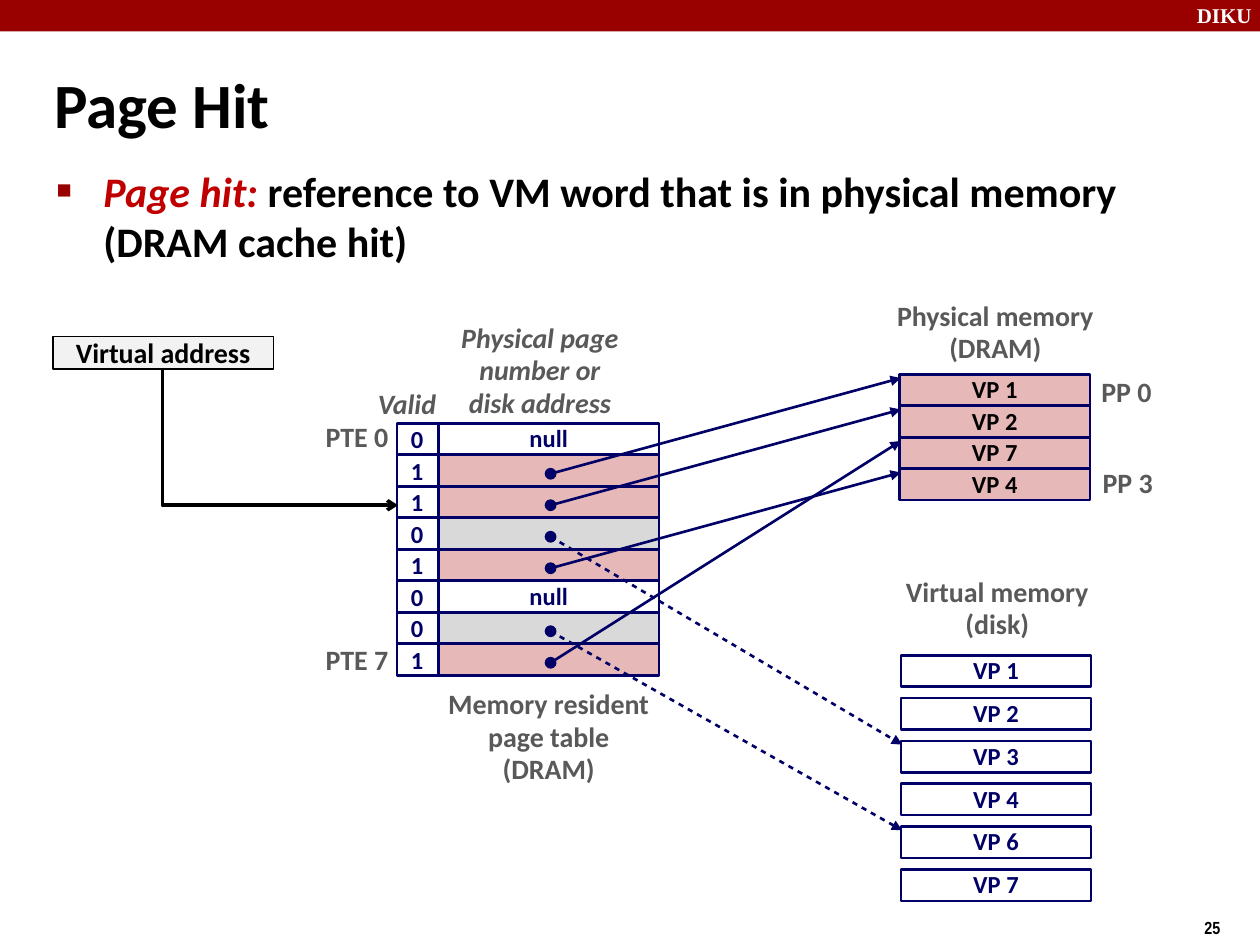
from dataclasses import dataclass
from typing import Optional

from lxml.etree import SubElement
from pptx import Presentation
from pptx.dml.color import RGBColor
from pptx.enum.shapes import MSO_CONNECTOR, MSO_SHAPE
from pptx.enum.text import MSO_ANCHOR, MSO_AUTO_SIZE, PP_ALIGN
from pptx.oxml.ns import qn
from pptx.util import Inches, Pt

NAVY, BLACK, WHITE, GREY = "000066", "000000", "FFFFFF", "595959"
CRIMSON, RED = "990000", "C00000"
CACHED, ON_DISK, PALE = "E6B9B8", "D9D9D9", "F2F2F2"
TIGHT = 0.98


@dataclass(frozen=True)
class Style:
    size: float
    color: str
    italic: bool = False
    font: str = "Calibri"


@dataclass(frozen=True)
class Grid:
    """A column of equal rows; pitch is the step from one row to the next."""
    left: float
    top: float
    width: float
    pitch: float
    height: float = 0.25

    def row(self, index: int) -> tuple:
        return self.left, self.top + index * self.pitch, self.width, self.height

    def arrow_target(self, index: int) -> tuple:
        return self.left + 0.01, self.top + index * self.pitch + 0.03


@dataclass(frozen=True)
class Entry:
    """A page table entry, pointing to a slot of physical memory or of the disk."""
    valid: str
    frame: Optional[int] = None
    disk: Optional[int] = None


@dataclass(frozen=True)
class Label:
    lines: tuple
    area: tuple
    style: Style
    align: PP_ALIGN = PP_ALIGN.CENTER
    anchor: MSO_ANCHOR = MSO_ANCHOR.TOP
    spacing: float = TIGHT
    wrap: bool = False


HEADING, HEADING_ITALIC = Style(16, GREY), Style(16, GREY, True)
CELL, FRAME_CELL = Style(14, NAVY), Style(14, BLACK)

VALID = Grid(3.15, 3.36, 0.33, 0.25)
DIGITS = Grid(3.16, 3.33, 0.3, 0.25, 0.33)
ADDRESS = Grid(3.48, 3.36, 1.75, 0.25)
DOTS = Grid(4.33, 3.47, 0.08, 0.25, 0.08)
FRAMES = Grid(7.14, 2.97, 1.51, 0.25)
DISK = Grid(7.15, 5.2, 1.51, 0.34)

FRAME_PAGES = ("VP 1", "VP 2", "VP 7", "VP 4")
DISK_PAGES = ("VP 1", "VP 2", "VP 3", "VP 4", "VP 6", "VP 7")
ENTRIES = (Entry("0"), Entry("1", frame=0), Entry("1", frame=1), Entry("0", disk=2),
           Entry("1", frame=3), Entry("0"), Entry("0", disk=4), Entry("1", frame=2))
LOOKED_UP = 2

MIDDLE = MSO_ANCHOR.MIDDLE
LABELS = (
    Label(("DIKU",), (9.4, -0.03, 0.67, 0.3), Style(12, WHITE, font="Times New Roman"),
          PP_ALIGN.LEFT, spacing=1, wrap=True),
    Label(("25",), (9.46, 7.23, 0.75, 0.27), Style(10, BLACK, font="Arial Narrow"),
          PP_ALIGN.LEFT, spacing=1, wrap=True),
    Label(("Memory resident", "page table", "(DRAM)"), (3.46, 5.41, 1.79, 0.89), HEADING),
    Label(("Physical memory", "(DRAM)"), (7.02, 2.33, 1.76, 0.63), HEADING),
    Label(("Virtual memory", "(disk)"), (7.09, 4.52, 1.65, 0.63), HEADING),
    Label(("Valid",), (2.9, 3.03, 0.75, 0.37), HEADING_ITALIC, PP_ALIGN.LEFT, wrap=True),
    Label(("Physical page", "number or", "disk address"), (3.56, 2.5, 1.45, 0.89),
          HEADING_ITALIC, anchor=MIDDLE),
    Label(("PTE 0",), (2.49, 3.29, 0.69, 0.37), HEADING, PP_ALIGN.RIGHT, MIDDLE),
    Label(("PTE 7",), (2.49, 5.06, 0.69, 0.37), HEADING, PP_ALIGN.RIGHT, MIDDLE),
    Label(("PP 0",), (8.64, 2.93, 0.6, 0.37), HEADING, anchor=MIDDLE),
    Label(("PP 3",), (8.65, 3.65, 0.6, 0.37), HEADING, anchor=MIDDLE),
)


def rgb(color: str) -> RGBColor:
    return RGBColor.from_string(color)


def inches(values: tuple) -> list:
    return [Inches(value) for value in values]


def place(shape, area: tuple) -> None:
    shape.left, shape.top, shape.width, shape.height = inches(area)


def add_span(para, text: str, style: Style) -> None:
    span = para.add_run()
    span.text = text
    font = span.font
    font.name, font.size = style.font, Pt(style.size)
    font.bold, font.italic = True, style.italic
    font.color.rgb = rgb(style.color)


def write_lines(frame, lines: tuple, style: Style, align=PP_ALIGN.CENTER,
                anchor=MIDDLE, spacing: float = TIGHT, wrap: bool = False) -> None:
    """Write one paragraph a line; unwrapped text gets the insets it does not lean on."""
    frame.word_wrap, frame.vertical_anchor = wrap, anchor
    if not wrap:
        frame.margin_left = 0
        frame.margin_right = Inches(0.1) if align == PP_ALIGN.RIGHT else 0
    for index, line in enumerate(lines):
        para = frame.add_paragraph() if index else frame.paragraphs[0]
        para.alignment, para.line_spacing = align, spacing
        add_span(para, line, style)


def add_label(page, label: Label):
    box = page.shapes.add_textbox(*inches(label.area))
    write_lines(box.text_frame, label.lines, label.style, label.align,
                label.anchor, label.spacing, label.wrap)
    return box


def add_block(page, area: tuple, fill: Optional[str], line: Optional[str] = NAVY,
              weight: float = 1.5, kind=MSO_SHAPE.RECTANGLE):
    block = page.shapes.add_shape(kind, *inches(area))
    block.shadow.inherit = False
    if fill:
        block.fill.solid()
        block.fill.fore_color.rgb = rgb(fill)
    else:
        block.fill.background()
    if line:
        block.line.color.rgb = rgb(line)
        block.line.width = Pt(weight)
    else:
        block.line.fill.background()
    return block


def add_arrow(page, start: tuple, end: tuple, color: str = NAVY, weight: float = 1.5,
              head: str = "triangle", dotted: bool = False, kind=MSO_CONNECTOR.STRAIGHT):
    arrow = page.shapes.add_connector(kind, *inches(start + end))
    arrow.line.color.rgb = rgb(color)
    arrow.line.width = Pt(weight)
    outline = arrow.line._get_or_add_ln()
    if dotted:
        SubElement(SubElement(outline, qn("a:custDash")), qn("a:ds"), d="200000", sp="200000")
    SubElement(outline, qn("a:tailEnd"), type=head)
    SubElement(arrow._element.spPr, qn("a:effectLst"))
    return arrow


def add_memory(page, grid: Grid, names: tuple, fill: str, style: Style) -> None:
    for index, name in enumerate(names):
        block = add_block(page, grid.row(index), fill)
        write_lines(block.text_frame, (name,), style)


def add_page_table(page) -> list:
    """Draw the entries and return the boxes of their valid bits."""
    digits = []
    for index, entry in enumerate(ENTRIES):
        fill = (CACHED if entry.frame is not None
                else ON_DISK if entry.disk is not None else WHITE)
        address = add_block(page, ADDRESS.row(index), fill)
        if fill == WHITE:
            write_lines(address.text_frame, ("null",), CELL)
        add_block(page, VALID.row(index), None)
        digits.append(add_label(page, Label((entry.valid,), DIGITS.row(index), CELL)))
    return digits


def add_pointers(page) -> None:
    for index, entry in enumerate(ENTRIES):
        on_disk = entry.disk is not None
        if not on_disk and entry.frame is None:
            continue
        left, top, width, height = DOTS.row(index)
        target = DISK.arrow_target(entry.disk) if on_disk else FRAMES.arrow_target(entry.frame)
        add_block(page, (left, top, width, height), NAVY, weight=1, kind=MSO_SHAPE.OVAL)
        add_arrow(page, (left + width / 2, top + height / 2), target, dotted=on_disk)


def add_lookup(page, digit) -> None:
    """Draw the virtual address and its one-bend arrow to the entry it selects."""
    source = add_block(page, (0.42, 2.67, 1.75, 0.26), PALE, BLACK, 1)
    write_lines(source.text_frame, ("Virtual address",), Style(16, BLACK), spacing=1, wrap=True)
    start, end = (1.29, 2.93), (3.16, 4.01)
    arrow = add_arrow(page, start, end, BLACK, 2, "arrow", kind=MSO_CONNECTOR.ELBOW)
    arrow.begin_connect(source, 2)
    arrow.end_connect(digit, 1)
    across, down = end[0] - start[0], end[1] - start[1]
    middle_x, middle_y = (start[0] + end[0]) / 2, (start[1] + end[1]) / 2
    place(arrow, (middle_x - down / 2, middle_y - across / 2, down, across))
    properties = arrow._element.spPr
    properties.find(qn("a:prstGeom")).set("prst", "bentConnector2")
    transform = properties.find(qn("a:xfrm"))
    transform.set("rot", str(270 * 60000))
    transform.set("flipH", "1")


def fill_placeholders(page) -> None:
    title, body = page.placeholders
    place(title, (0.33, 0.39, 9.06, 0.86))
    write_lines(title.text_frame, ("Page Hit",), Style(36, BLACK), PP_ALIGN.LEFT,
                spacing=1, wrap=True)
    place(body, (0.34, 1.26, 9.08, 0.9))
    body.text_frame.auto_size = MSO_AUTO_SIZE.NONE
    para = body.text_frame.paragraphs[0]
    para.space_before = Pt(0)
    properties = para._p.get_or_add_pPr()
    properties.set("marL", str(Inches(0.38)))
    properties.set("indent", str(Inches(-0.37)))
    SubElement(SubElement(properties, qn("a:buClr")), qn("a:srgbClr"), val=CRIMSON)
    SubElement(properties, qn("a:buSzPct"), val="60000")
    SubElement(properties, qn("a:buFont"), typeface="Arial")
    SubElement(properties, qn("a:buChar"), char="■")
    add_span(para, "Page hit: ", Style(24, RED, True))
    add_span(para, "reference to VM word that is in physical memory (DRAM cache hit)",
             Style(24, BLACK))


def main() -> None:
    deck = Presentation()
    deck.slide_width, deck.slide_height = Inches(10), Inches(7.5)
    page = deck.slides.add_slide(deck.slide_layouts[1])
    add_block(page, (0, 0, 10, 0.25), CRIMSON, None)
    fill_placeholders(page)
    digits = add_page_table(page)
    add_memory(page, FRAMES, FRAME_PAGES, CACHED, FRAME_CELL)
    add_memory(page, DISK, DISK_PAGES, WHITE, CELL)
    for label in LABELS:
        add_label(page, label)
    add_pointers(page)
    add_lookup(page, digits[LOOKED_UP])
    deck.save("out.pptx")


if __name__ == "__main__":
    main()
